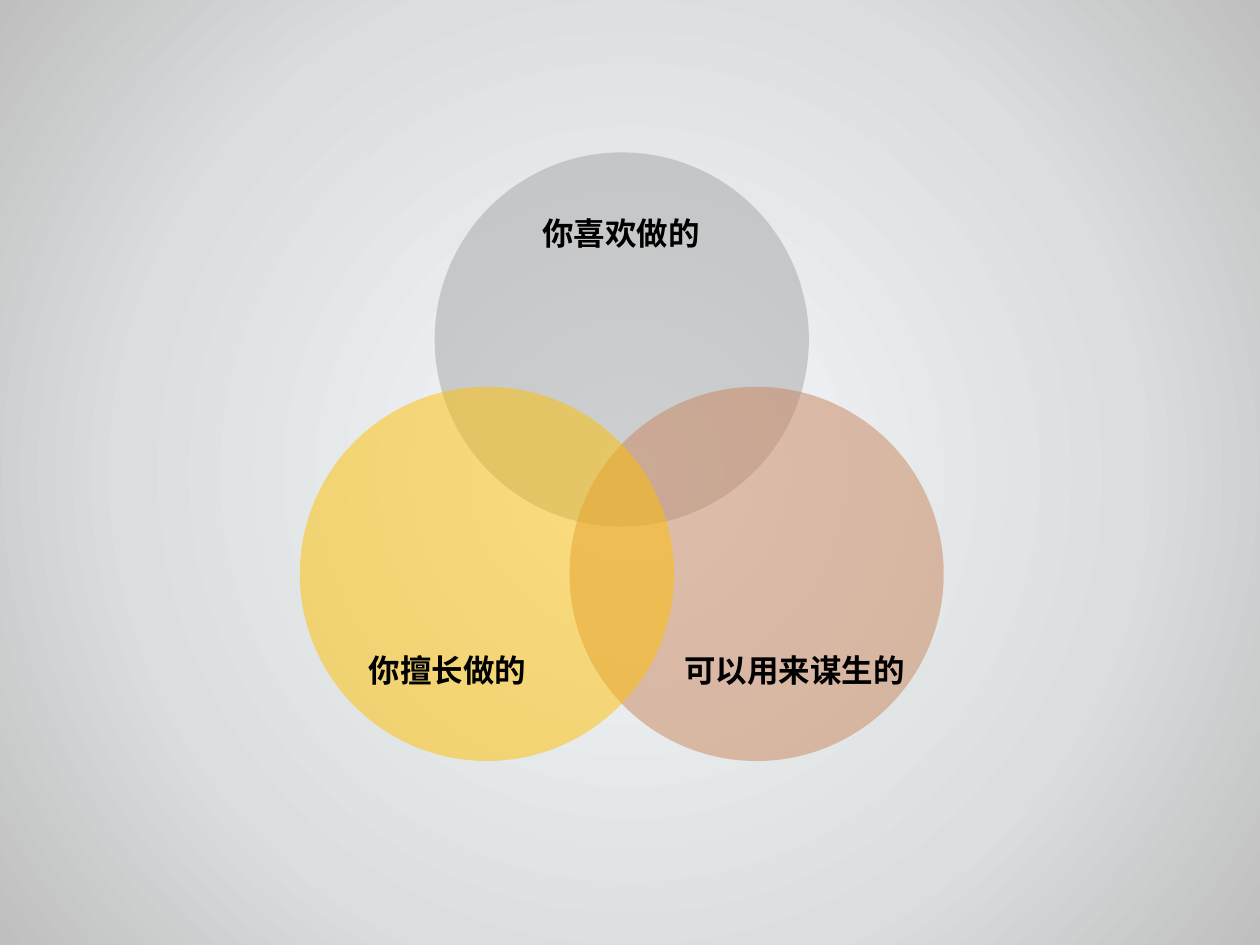
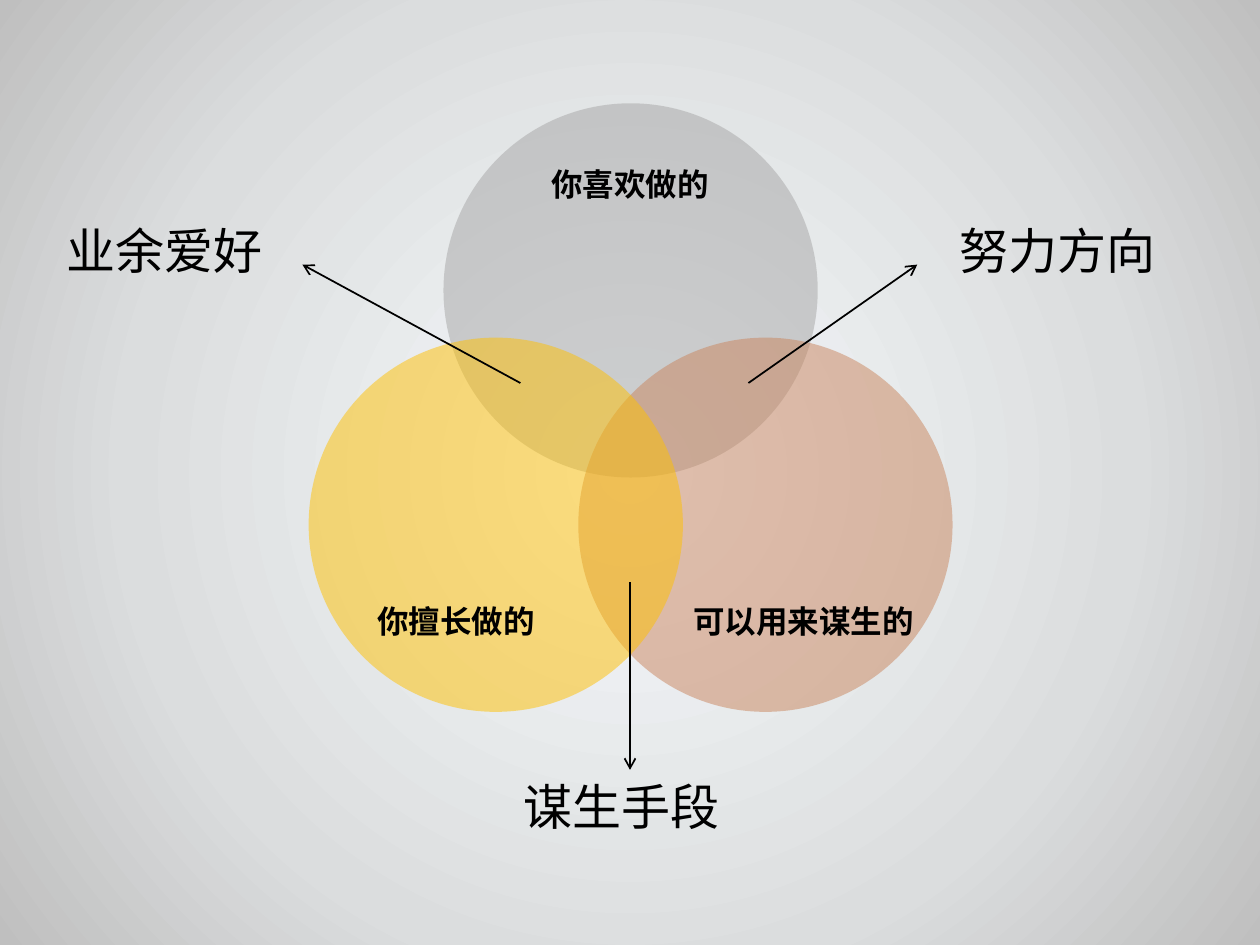
from dataclasses import dataclass

from lxml import etree
from pptx import Presentation
from pptx.dml.color import RGBColor
from pptx.enum import shapes, text
from pptx.oxml.ns import qn
from pptx.util import Inches, Pt


@dataclass(frozen=True)
class Theme:
    font: str = "Noto Sans CJK SC"
    ink: str = "000000"
    grey: str = "A5A5A5"
    tan: str = "C9845C"
    yellow: str = "FFC000"
    backdrop: tuple = ((0, "F7FAFD"), (64, "DBDDDE"), (100, "BFBFBF"))
    circle_opacity: int = 50
    circle_label_size: int = 18
    outcome_size: int = 28
    arrow_width: int = 1


THEME = Theme()
DIAMETER = 2.97
CIRCLE_STEP = 1.07   # half the distance between the lower circles
CIRCLE_DROP = 1.86   # from the upper circle to the lower ones

# text, colour, circle corner, label box, alignment, anchor
CIRCLES = (
    ("你喜欢做的", THEME.grey, (CIRCLE_STEP, 0), (1.46, 0.52, 2.18, 1.34),
     text.PP_ALIGN.CENTER, text.MSO_ANCHOR.TOP),
    ("可以用来谋生的", THEME.tan, (2 * CIRCLE_STEP, CIRCLE_DROP), (3.05, 2.63, 1.78, 1.63),
     text.PP_ALIGN.LEFT, text.MSO_ANCHOR.BOTTOM),
    ("你擅长做的", THEME.yellow, (0, CIRCLE_DROP), (0.28, 2.63, 1.78, 1.63),
     text.PP_ALIGN.CENTER, text.MSO_ANCHOR.BOTTOM),
)

# text, label box, arrow start, arrow end
OUTCOMES = (
    ("业余爱好", (0.43, 1.7, 1.97, 0.57), (4.13, 3.04), (2.4, 2.1)),
    ("努力方向", (7.52, 1.7, 2.05, 0.57), (5.94, 3.04), (7.28, 2.1)),
    ("谋生手段", (4.06, 6.11, 2.2, 0.57), (5, 4.62), (5, 6.11)),
)


def inches(*values):
    return [Inches(value) for value in values]


def add_child(parent, tag, **attributes):
    child = etree.SubElement(parent, qn(tag))
    for name, value in attributes.items():
        child.set(name, str(value))
    return child


def set_backdrop(master):
    """Give every page the circular gradient, lightest in the middle."""
    master.background.fill.gradient()
    gradient = master.element.find(".//" + qn("a:gradFill"))
    for child in list(gradient):
        gradient.remove(child)
    stops = add_child(gradient, "a:gsLst")
    for position, colour in THEME.backdrop:
        stop = add_child(stops, "a:gs", pos=position * 1000)
        add_child(stop, "a:srgbClr", val=colour)
    path = add_child(gradient, "a:path", path="circle")
    add_child(path, "a:fillToRect", l=50000, t=50000, r=50000, b=50000)


def add_text(parent, wording, box, *, size, bold=False, inset=None, line_spacing=None,
             align=text.PP_ALIGN.LEFT, anchor=text.MSO_ANCHOR.TOP):
    frame = parent.add_textbox(*inches(*box)).text_frame
    frame.word_wrap = True
    frame.vertical_anchor = anchor
    if inset is not None:
        frame.margin_left = frame.margin_right = Inches(inset)
        frame.margin_top = frame.margin_bottom = Inches(inset)
    para = frame.paragraphs[0]
    para.alignment = align
    para.line_spacing = line_spacing
    span = para.add_run()
    span.text = wording
    span.font.name = THEME.font
    span.font.size = Pt(size)
    span.font.bold = bold
    span.font.color.rgb = RGBColor.from_string(THEME.ink)
    add_child(span.font._element, "a:ea", typeface=THEME.font)


def add_circle(parent, left, top, colour):
    circle = parent.add_shape(shapes.MSO_SHAPE.OVAL, *inches(left, top, DIAMETER, DIAMETER))
    circle.shadow.inherit = False
    circle.line.fill.background()
    circle.fill.solid()
    circle.fill.fore_color.rgb = RGBColor.from_string(colour)
    tint = circle.fill._xPr.find(".//" + qn("a:srgbClr"))
    add_child(tint, "a:alpha", val=THEME.circle_opacity * 1000)


def add_arrow(page, start, end):
    arrow = page.shapes.add_connector(shapes.MSO_CONNECTOR.STRAIGHT, *inches(*start, *end))
    arrow.line.width = Pt(THEME.arrow_width)
    arrow.line.color.rgb = RGBColor.from_string(THEME.ink)
    add_child(arrow.line._get_or_add_ln(), "a:tailEnd", type="arrow")
    add_child(arrow._element.spPr, "a:effectLst")


def add_venn(page, left, top):
    group = page.shapes.add_group_shape().shapes
    for wording, colour, (x, y), (label_x, label_y, width, height), align, anchor in CIRCLES:
        add_circle(group, left + x, top + y, colour)
        add_text(group, wording, (left + label_x, top + label_y, width, height),
                 size=THEME.circle_label_size, bold=True, inset=0, line_spacing=0.9,
                 align=align, anchor=anchor)


def add_outcomes(page):
    """Point from each overlap of two circles to what it means."""
    for _, _, start, end in OUTCOMES:
        add_arrow(page, start, end)
    for wording, box, _, _ in OUTCOMES:
        add_text(page.shapes, wording, box, size=THEME.outcome_size)


def main():
    deck = Presentation()
    deck.slide_width, deck.slide_height = inches(10, 7.5)
    set_backdrop(deck.slide_master)
    blank = deck.slide_layouts[6]

    add_venn(deck.slides.add_slide(blank), 2.38, 1.21)

    overlaps = deck.slides.add_slide(blank)
    add_venn(overlaps, 2.45, 0.82)
    add_outcomes(overlaps)

    deck.save("out.pptx")


if __name__ == "__main__":
    main()
